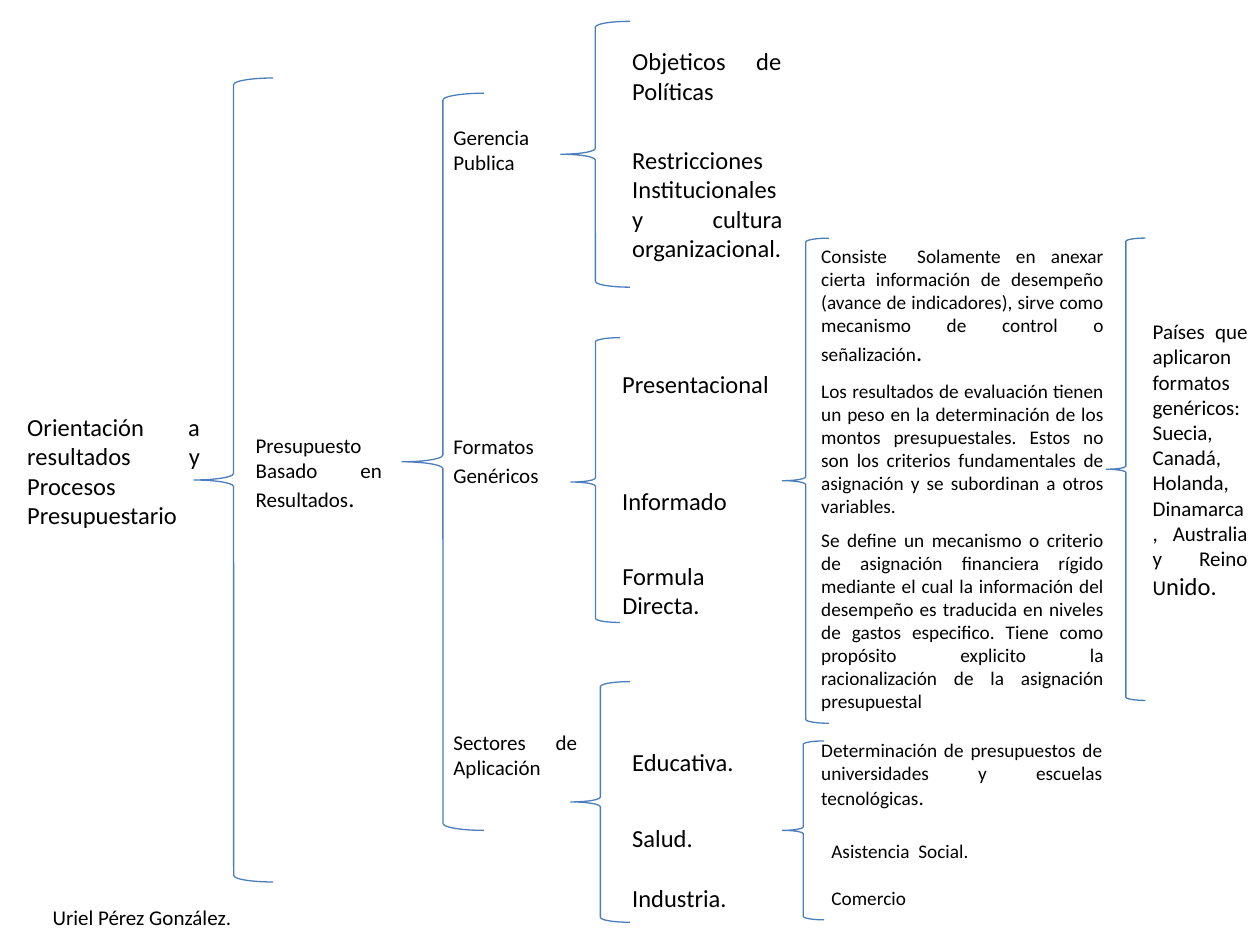
from pptx import Presentation
from pptx.dml.color import RGBColor
from pptx.enum.shapes import MSO_SHAPE
from pptx.enum.text import MSO_AUTO_SIZE, PP_ALIGN
from pptx.util import Pt

BLACK = RGBColor(0x00, 0x00, 0x00)
BLUE = RGBColor(0x4B, 0x7E, 0xBC)
FONT = "Calibri"

# Left edge and width of the columns of labels
BUDGET_LEFT = 252
POLICY_LEFT = 354.2
FORMAT_LEFT = 348.5
DETAIL_LEFT, DETAIL_WIDTH = 462.2, 175.7
SECTOR_DETAIL_LEFT = 468


class BraceMap:
    """Draws labels and braces on one page; lengths are in points."""

    def __init__(self, page):
        self.page = page

    def label(self, left, top, width, height, size, *lines, ending="", ending_size=14):
        """Add one justified paragraph per line; the ending closes the last one."""
        box = self.page.shapes.add_textbox(Pt(left), Pt(top), Pt(width), Pt(height))
        frame = box.text_frame
        frame.word_wrap = True
        frame.auto_size = MSO_AUTO_SIZE.SHAPE_TO_FIT_TEXT
        for index, line in enumerate(lines):
            para = frame.add_paragraph() if index else frame.paragraphs[0]
            para.alignment = PP_ALIGN.JUSTIFY
            para.font.name = FONT
            para.font.size = Pt(size)
            para.font.color.rgb = BLACK
            para.add_run().text = line
        if ending:
            span = para.add_run()
            span.text = ending
            span.font.size = Pt(ending_size)

    def brace(self, left, top, width, height, point=0.5):
        """Add a left brace whose point lies at the given share of its height."""
        shape = self.page.shapes.add_shape(
            MSO_SHAPE.LEFT_BRACE, Pt(left), Pt(top), Pt(width), Pt(height))
        shape.adjustments[1] = point
        shape.shadow.inherit = False
        shape.fill.background()
        shape.line.color.rgb = BLUE
        shape.line.width = Pt(0.75)


def main():
    deck = Presentation()
    deck.slide_width, deck.slide_height = Pt(720), Pt(540)
    diagram = BraceMap(deck.slides.add_slide(deck.slide_layouts[6]))

    # Main subject
    diagram.brace(110.9, 44.6, 45.2, 459.4)
    diagram.label(8.5, 231.8, 113, 74.9, 14,
                  "Orientación  a resultados y Procesos Presupuestario")
    diagram.label(139, 243.4, 86.4, 53.3, 12,
                  "Presupuesto Basado en Resultados", ending=". ")

    # Parts of the budget
    diagram.brace(229.7, 53.3, 46.8, 421.2)
    diagram.label(BUDGET_LEFT, 67.7, 85, 36, 12, "Gerencia ", "Publica")
    diagram.label(BUDGET_LEFT, 244.1, 79.2, 38.9, 12, "Formatos ", "Genéricos", ending=" ")
    diagram.label(BUDGET_LEFT, 413.3, 85, 36, 12, "Sectores de Aplicación ")

    # Public management
    diagram.brace(320.4, 12.2, 39.6, 151.9)
    diagram.label(POLICY_LEFT, 23, 99.4, 41, 14, "Objeticos de Políticas")
    diagram.label(POLICY_LEFT, 79.2, 100.1, 74.9, 14,
                  "Restricciones Institucionales y cultura organizacional. ")

    # Generic formats
    diagram.brace(326.2, 193, 28.1, 162.7, point=0.507)
    diagram.label(FORMAT_LEFT, 207.4, 113, 24.5, 14, "Presentacional")
    diagram.label(FORMAT_LEFT, 274.3, 113, 24.5, 14, "Informado")
    diagram.label(FORMAT_LEFT, 316.8, 87.1, 41, 14, "Formula ", "Directa. ")

    # Sectors
    diagram.brace(326.2, 389.5, 33.8, 137.5)
    for sector, top in (("Educativa. ", 423.4), ("Salud. ", 466.6), ("Industria. ", 501.1)):
        diagram.label(POLICY_LEFT, top, 113, 24.5, 14, sector)

    # What each format means
    diagram.brace(447.1, 136.1, 26.6, 277.2)
    diagram.label(
        DETAIL_LEFT, 136.1, DETAIL_WIDTH, 77.8, 11,
        "Consiste  Solamente en anexar cierta información de desempeño (avance de "
        "indicadores), sirve como mecanismo de control o señalización", ending=".")
    diagram.label(
        DETAIL_LEFT, 213.1, DETAIL_WIDTH, 87.1, 11,
        "Los resultados de evaluación tienen un peso en la determinación de los montos "
        "presupuestales. Estos no son los criterios fundamentales de asignación y se "
        "subordinan a otros variables.")
    diagram.label(
        DETAIL_LEFT, 298.1, DETAIL_WIDTH, 113.8, 11,
        "Se define un mecanismo o criterio de asignación financiera rígido mediante el "
        "cual la información del desempeño es traducida en niveles de gastos especifico. "
        "Tiene como propósito explicito la racionalización de la asignación presupuestal")

    # What each sector covers
    diagram.brace(447.1, 423.4, 23.8, 102.2)
    diagram.label(
        DETAIL_LEFT, 418.3, 175, 48.2, 11,
        "Determinación de presupuestos de universidades y escuelas tecnológicas",
        ending=". ", ending_size=12)
    diagram.label(SECTOR_DETAIL_LEFT, 475.9, 175, 20.9, 11, "Asistencia  Social. ")
    diagram.label(SECTOR_DETAIL_LEFT, 502.6, 175, 20.9, 11, "Comercio")

    # Countries and author
    diagram.brace(632.2, 136.1, 22.3, 264.2)
    diagram.label(
        651.6, 178.6, 68.4, 169.9, 12,
        "Países que aplicaron formatos genéricos: Suecia, Canadá, Holanda, Dinamarca, "
        "Australia y Reino U", ending="nido.")
    diagram.label(23, 513.4, 175, 21.6, 12, "Uriel Pérez González. ")

    deck.save("out.pptx")


if __name__ == "__main__":
    main()
